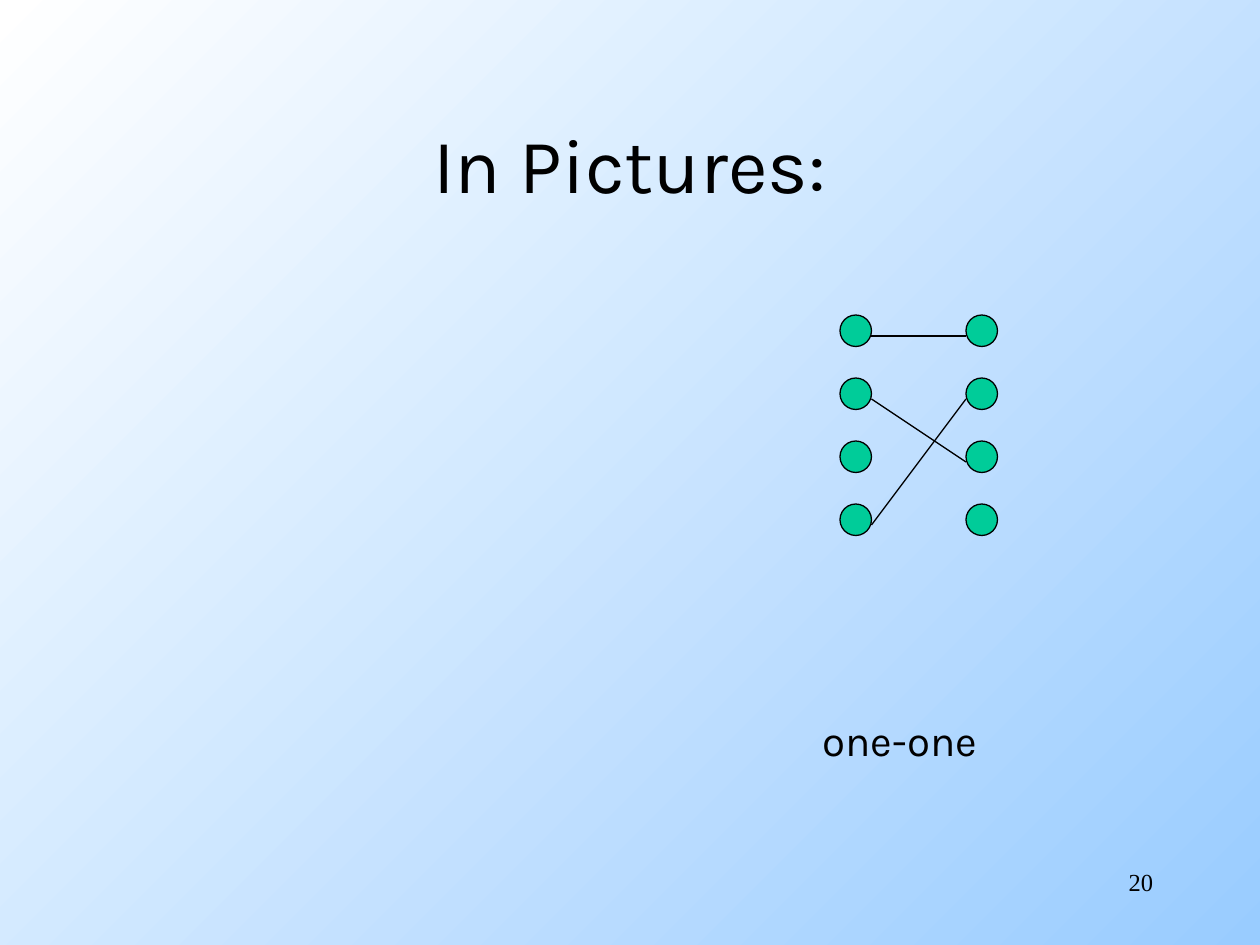
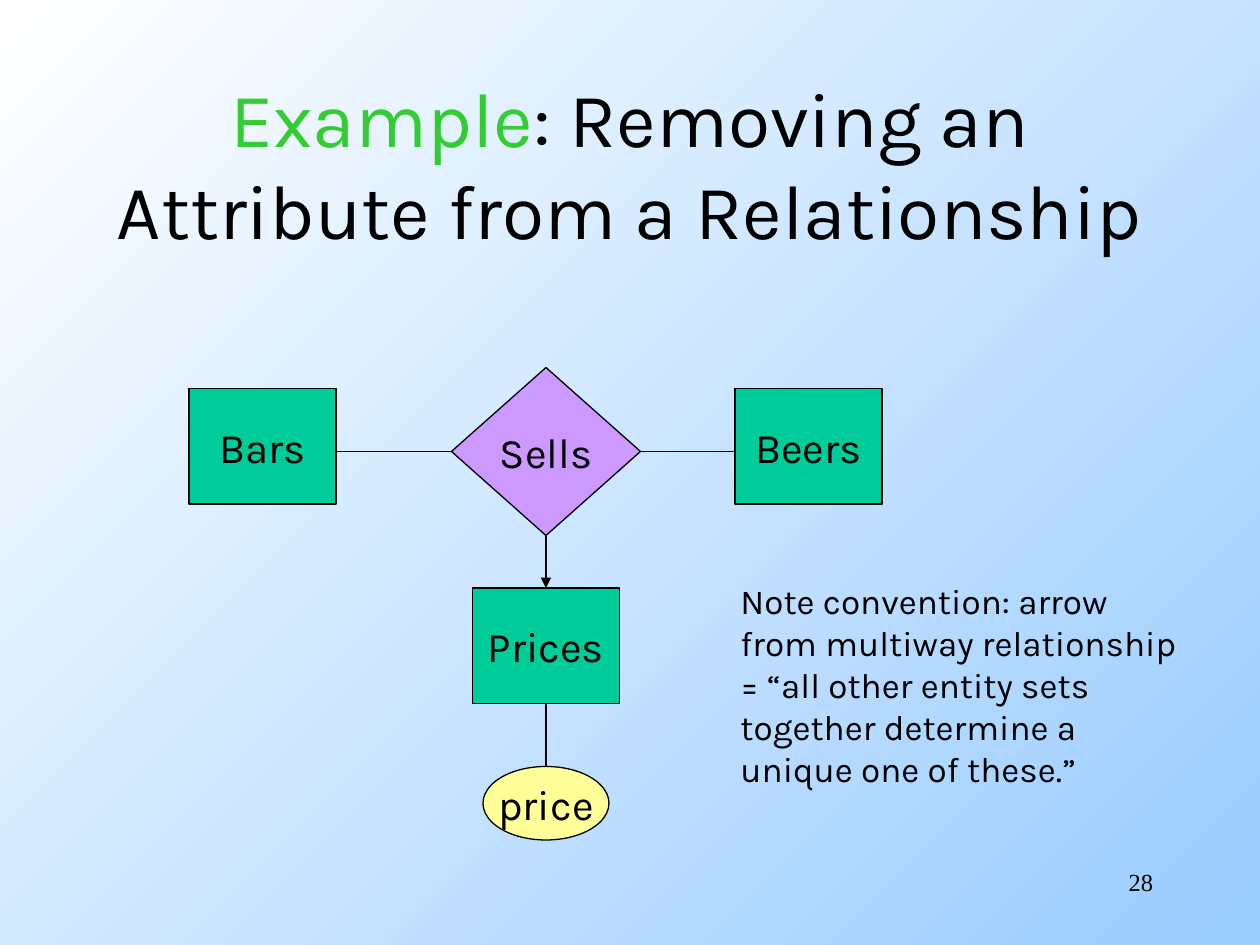
from lxml import etree
from pptx import Presentation
from pptx.dml.color import RGBColor
from pptx.enum import shapes, text
from pptx.oxml.ns import qn
from pptx.util import Pt

BLACK, WHITE, SKY = "000000", "FFFFFF", "99CCFF"
ENTITY, RELATIONSHIP, ATTRIBUTE = "00CC99", "CC99FF", "FFFF99"
HIGHLIGHT = "33CC33"
FONT, NUMBER_FONT = "Karla", "Times New Roman"
LINE_WIDTH = Pt(0.75)
CENTER = text.PP_ALIGN.CENTER
DOT_SIZE, DOT_PITCH, DOT_TOP = 18, 36, 180
LEFT_DOTS, RIGHT_DOTS = 480, 552


def color(hex_string):
    return RGBColor.from_string(hex_string)


def format_text(text_frame, size, font=FONT, align=text.PP_ALIGN.LEFT):
    for paragraph in text_frame.paragraphs:
        paragraph.alignment = align
        for run in paragraph.runs:
            run.font.size = Pt(size)
            run.font.name = font
            run.font.color.rgb = color(BLACK)


def set_background(master):
    fill = master.background.fill
    fill.gradient()
    fill.gradient_angle = 315
    for stop, shade in zip(fill.gradient_stops, (WHITE, SKY)):
        stop.color.rgb = color(shade)


def add_text(slide, box, content, size, font=FONT, align=text.PP_ALIGN.LEFT):
    shape = slide.shapes.add_textbox(*map(Pt, box))
    shape.text_frame.word_wrap = True
    shape.text_frame.text = content
    format_text(shape.text_frame, size, font, align)


def add_slide(presentation, title_parts, number):
    slide = presentation.slides.add_slide(presentation.slide_layouts[5])
    title = slide.shapes.title
    title.left, title.top, title.width, title.height = map(Pt, (54, 48, 612, 90))
    text_frame = title.text_frame
    text_frame.auto_size = text.MSO_AUTO_SIZE.NONE
    text_frame.vertical_anchor = text.MSO_ANCHOR.MIDDLE
    paragraph = text_frame.paragraphs[0]
    for part in title_parts:
        paragraph.add_run().text = part
    format_text(text_frame, 44, align=CENTER)
    add_text(slide, (516, 492, 150, 36), number, 14, NUMBER_FONT, text.PP_ALIGN.RIGHT)
    return slide


def add_node(slide, kind, box, fill, label=""):
    shape = slide.shapes.add_shape(kind, *map(Pt, box))
    shape.shadow.inherit = False
    shape.fill.solid()
    shape.fill.fore_color.rgb = color(fill)
    shape.line.color.rgb = color(BLACK)
    shape.line.width = LINE_WIDTH
    if label:
        text_frame = shape.text_frame
        text_frame.word_wrap = False
        text_frame.vertical_anchor = text.MSO_ANCHOR.MIDDLE
        text_frame.text = label
        format_text(text_frame, 24, align=CENTER)
    return shape


def add_entity(slide, left, top, label):
    return add_node(slide, shapes.MSO_SHAPE.RECTANGLE, (left, top, 84, 66), ENTITY, label)


def add_line(slide, start=(0, 0), end=(0, 0), begin_site=None, end_site=None, arrow=False):
    connector = slide.shapes.add_connector(
        shapes.MSO_CONNECTOR.STRAIGHT, *map(Pt, (*start, *end)))
    if begin_site:
        connector.begin_connect(*begin_site)
    if end_site:
        connector.end_connect(*end_site)
    connector.line.color.rgb = color(BLACK)
    connector.line.width = LINE_WIDTH
    properties = connector.line._get_or_add_ln()
    if arrow:
        etree.SubElement(properties, qn("a:tailEnd"), type="triangle")
    etree.SubElement(properties.getparent(), qn("a:effectLst"))


def build_one_one(presentation):
    slide = add_slide(presentation, ["In Pictures:"], "20")
    for left in (LEFT_DOTS, RIGHT_DOTS):
        for row in range(4):
            box = (left, DOT_TOP + row * DOT_PITCH, DOT_SIZE, DOT_SIZE)
            add_node(slide, shapes.MSO_SHAPE.OVAL, box, ENTITY)
    line_top = DOT_TOP + 12
    for left_row, right_row in ((0, 0), (1, 2), (3, 1)):
        add_line(slide, (LEFT_DOTS + DOT_SIZE, line_top + left_row * DOT_PITCH),
                 (RIGHT_DOTS, line_top + right_row * DOT_PITCH))
    add_text(slide, (463, 405, 108, 36), "one-one", 24)


def build_removing_attribute(presentation):
    slide = add_slide(
        presentation, ["Example", ": Removing an Attribute from a Relationship"], "28")
    example = slide.shapes.title.text_frame.paragraphs[0].runs[0]
    example.font.color.rgb = color(HIGHLIGHT)

    add_entity(slide, 108, 222, "Bars")
    add_entity(slide, 420, 222, "Beers")
    prices = add_entity(slide, 270, 336, "Prices")
    sells = add_node(slide, shapes.MSO_SHAPE.DIAMOND, (258, 210, 108, 96),
                     RELATIONSHIP, "Sells")
    price = add_node(slide, shapes.MSO_SHAPE.OVAL, (276, 438, 72, 42), ATTRIBUTE, "price")

    add_line(slide, end=(192, 258), begin_site=(sells, 1))
    add_line(slide, end=(420, 258), begin_site=(sells, 3))
    add_line(slide, begin_site=(sells, 2), end_site=(prices, 0), arrow=True)
    add_line(slide, begin_site=(prices, 2), end_site=(price, 0))

    note = ("Note convention: arrow", "from multiway relationship",
            "= “all other entity sets", "together determine a", "unique one of these.”")
    add_text(slide, (416, 327.6, 270, 127.5), "\n".join(note), 20)


def main():
    presentation = Presentation()
    presentation.slide_width, presentation.slide_height = Pt(720), Pt(540)
    set_background(presentation.slide_master)
    build_one_one(presentation)
    build_removing_attribute(presentation)
    presentation.save("out.pptx")


if __name__ == "__main__":
    main()
